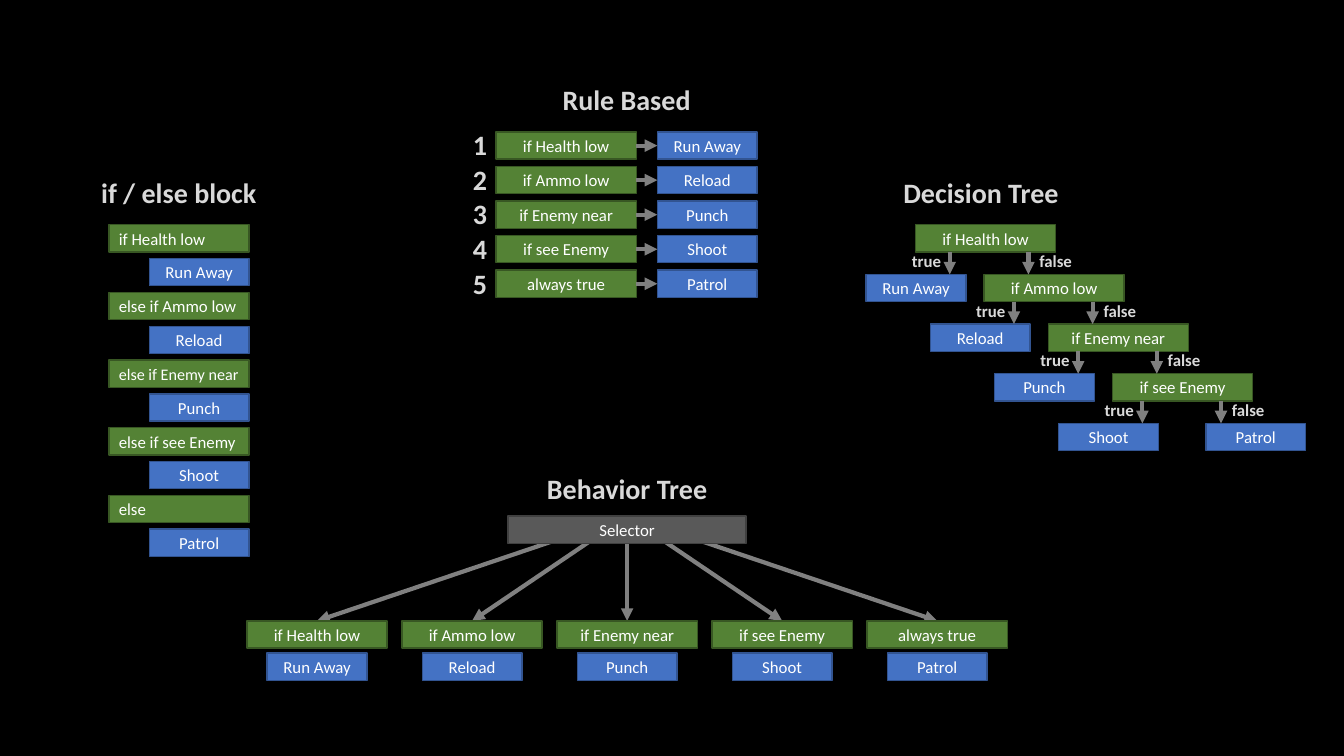
from lxml.etree import SubElement
from pptx import Presentation
from pptx.dml.color import RGBColor
from pptx.enum.shapes import MSO_CONNECTOR, MSO_SHAPE
from pptx.enum.text import MSO_ANCHOR, MSO_AUTO_SIZE, PP_ALIGN
from pptx.oxml.ns import qn
from pptx.util import Inches, Pt

BLACK = RGBColor(0x00, 0x00, 0x00)
WHITE = RGBColor(0xFF, 0xFF, 0xFF)
PALE = RGBColor(0xD9, 0xD9, 0xD9)
GRAY = RGBColor(0x80, 0x80, 0x80)
GREEN = RGBColor(0x54, 0x82, 0x35)
MOSS = RGBColor(0x38, 0x57, 0x23)
BLUE = RGBColor(0x44, 0x72, 0xC4)
NAVY = RGBColor(0x32, 0x54, 0x91)
STEEL = RGBColor(0x59, 0x59, 0x59)
COAL = RGBColor(0x40, 0x40, 0x40)

# Box sizes in inches
TEST_W, ACT_W, BAR_W, BOX_H = 1.39, 0.99, 2.36, 0.27
INSET = (TEST_W - ACT_W) / 2

TESTS = ["if Health low", "if Ammo low", "if Enemy near", "if see Enemy", "always true"]
ACTS = ["Run Away", "Reload", "Punch", "Shoot", "Patrol"]
ELSES = ["if Health low", "else if Ammo low", "else if Enemy near",
         "else if see Enemy", "else"]


def write(shape, text, size=12, color=WHITE, bold=False, align=PP_ALIGN.CENTER):
    frame = shape.text_frame
    frame.word_wrap = True
    para = frame.paragraphs[0]
    para.alignment = align
    run = para.add_run()
    run.text = text
    font = run.font
    font.name, font.size, font.bold = "Calibri", Pt(size), bold
    font.color.rgb = color


def block(slide, x, y, wide, fill, edge, text="", **form):
    box = slide.shapes.add_shape(MSO_SHAPE.RECTANGLE, Inches(x), Inches(y),
                                 Inches(wide), Inches(BOX_H))
    box.shadow.inherit = False
    box.fill.solid()
    box.fill.fore_color.rgb = fill
    box.line.color.rgb = edge
    box.line.width = Pt(1)
    box.text_frame.vertical_anchor = MSO_ANCHOR.MIDDLE
    if text:
        write(box, text, **form)
    return box


def test(slide, x, y, text, **form):
    return block(slide, x, y, TEST_W, GREEN, MOSS, text, **form)


def act(slide, x, y, text):
    return block(slide, x, y, ACT_W, BLUE, NAVY, text)


def label(slide, mid, y, wide, high, text, size):
    box = slide.shapes.add_textbox(Inches(mid - wide / 2), Inches(y),
                                   Inches(wide), Inches(high))
    box.text_frame.auto_size = MSO_AUTO_SIZE.SHAPE_TO_FIT_TEXT
    write(box, text, size=size, color=PALE, bold=True)


def head(slide, mid, y, text):
    label(slide, mid, y, 1.83, 0.44, text, 20)


def arrow(slide, x1, y1, x2, y2):
    wire = slide.shapes.add_connector(MSO_CONNECTOR.STRAIGHT, Inches(x1), Inches(y1),
                                      Inches(x2), Inches(y2))
    wire.line.color.rgb = GRAY
    wire.line.width = Pt(3)
    SubElement(wire.line._get_or_add_ln(), qn("a:tailEnd"), type="triangle")
    SubElement(wire._element.spPr, qn("a:effectLst"))
    return wire


def rules(slide, x, y, wide, high):
    """Numbered rows, each a condition pointing at its action."""
    step = high / (len(TESTS) - 1)
    right = x + wide - ACT_W
    for row, (cond, deed) in enumerate(zip(TESTS, ACTS)):
        top = y + row * step
        left_box = test(slide, x, top, cond)
        right_box = act(slide, right, top, deed)
        mid = top + BOX_H / 2
        wire = arrow(slide, x + TEST_W, mid, right, mid)
        wire.begin_connect(left_box, 3)
        wire.end_connect(right_box, 1)
        label(slide, x - 0.16, top - 0.09, 0.37, 0.44, str(row + 1), 20)
    head(slide, x + wide / 2, y - 0.54, "Rule Based")


def chain(slide, x, y, wide, high):
    """Conditions and indented actions in turn."""
    step = high / (2 * len(ELSES) - 1)
    for row, (cond, deed) in enumerate(zip(ELSES, ACTS)):
        top = y + 2 * row * step
        size = 11.5 if cond == "else if Enemy near" else 12
        test(slide, x, top, cond, size=size, align=PP_ALIGN.LEFT)
        act(slide, x + wide - ACT_W, top + step, deed)
    head(slide, x + wide / 2, y - 0.54, "if / else block")


def decide(slide, x, y, wide, high):
    """Staircase of conditions with a true and a false branch each."""
    last = len(ACTS) - 2
    drop = high / (last + 1)
    shift = (wide - 2.45) / last
    test(slide, x + 0.49, y, TESTS[0])
    for row in range(last + 1):
        left, top = x + row * shift, y + row * drop
        act(slide, left, top + drop, ACTS[row])
        if row < last:
            test(slide, left + 1.17, top + drop, TESTS[row + 1])
        else:
            act(slide, x + wide - ACT_W, top + drop, ACTS[-1])
        for tip, mid, word in ((0.83, 0.6, "true"), (1.61, 1.88, "false")):
            arrow(slide, left + tip, top + BOX_H, left + tip, top + drop)
            label(slide, left + mid, top + 0.21, 0.71, 0.3, word, 12)
    head(slide, x + 1.14, y - 0.54, "Decision Tree")


def behave(slide, x, y, wide, high):
    """Selector bar fanning out to five condition and action pairs."""
    step = (wide - TEST_W) / (len(TESTS) - 1)
    mid, base = x + wide / 2, y + high - BOX_H
    fan, leaves = [], []
    for col, deed in enumerate(ACTS):
        left = x + col * step
        act(slide, left + INSET, base, deed)
        fan.append(arrow(slide, mid, y, left + TEST_W / 2, base - 0.32))
    # Black strip trims the line ends above the bar
    block(slide, mid - BAR_W / 2, y - 0.08, BAR_W, BLACK, BLACK)
    bar = block(slide, mid - BAR_W / 2, y, BAR_W, STEEL, COAL, "Selector")
    head(slide, mid, y - 0.49, "Behavior Tree")
    for col, cond in enumerate(TESTS):
        leaves.append(test(slide, x + col * step, base - 0.32, cond))
    for wire, leaf in zip(fan, leaves):
        wire.begin_connect(bar, 0)
        wire.end_connect(leaf, 0)


def main():
    deck = Presentation()
    deck.slide_width, deck.slide_height = Inches(13.33), Inches(7.5)
    slide = deck.slides.add_slide(deck.slide_layouts[6])
    slide.background.fill.solid()
    slide.background.fill.fore_color.rgb = BLACK
    rules(slide, 4.92, 1.31, 2.59, 1.37)
    chain(slide, 1.08, 2.23, 1.39, 3.02)
    decide(slide, 8.59, 2.23, 4.36, 1.97)
    behave(slide, 2.45, 5.12, 7.54, 1.63)
    deck.save("out.pptx")


if __name__ == "__main__":
    main()
